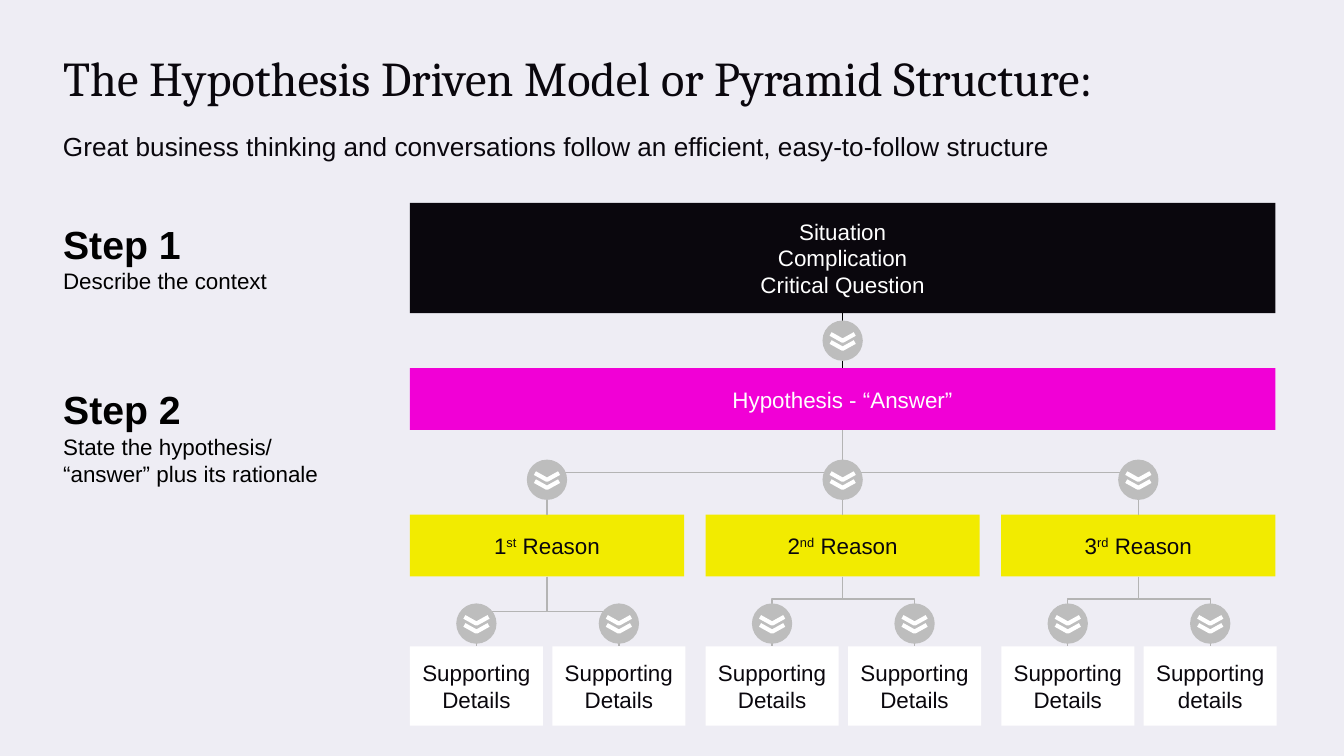
from lxml import etree
from pptx import Presentation
from pptx.dml.color import RGBColor
from pptx.enum import shapes, text
from pptx.oxml.ns import qn
from pptx.util import Inches, Pt

# Content
TITLE = "The Hypothesis Driven Model or Pyramid Structure:"
SUBTITLE = ("Great business thinking and conversations follow an efficient, "
            "easy-to-follow structure")
STEPS = [  # heading, lines, place
    ("Step 1 ", ["Describe the context"], (0.47, 1.64, 2.04, 0.78)),
    ("Step 2 ", ["State the hypothesis/", "“answer” plus its rationale"],
     (0.47, 2.87, 2.15, 0.85)),
]
CONTEXT = ["Situation", "Complication", "Critical Question"]
HYPOTHESIS = "Hypothesis - “Answer”"
REASONS = [  # number, ordinal ending, details, position of the lower bend
    ("1", "st", ["Supporting Details", "Supporting Details"], 0.5),
    ("2", "nd", ["Supporting Details", "Supporting Details"], 0.32),
    ("3", "rd", ["Supporting Details", "Supporting details"], 0.32),
]

THEME = dict(
    back="EEEDF4", ink="0A070D", black="000000", white="FFFFFF",
    answer="F100D6", reason="F2EB00", line="B4B4B4", icon="BDBDBD",
    head_font="Cambria", body_font="Arial",
    title=26, subtitle=14, step=21, body=12, thin=0.75, chevron=2.25)

# Layout: the rows of the pyramid as (top, height), and its columns
CONTEXT_ROW, ANSWER_ROW = (1.51, 0.82), (2.74, 0.46)
REASON_ROW, DETAIL_ROW = (3.83, 0.46), (4.81, 0.59)
LEFT, FULL_WIDTH = 3.05, 6.44
REASON_PITCH, REASON_WIDTH = 2.2, 2.04
DETAIL_PITCH, DETAIL_WIDTH = 1.06, 0.99
MIDDLE = LEFT + FULL_WIDTH / 2
ICON_SIZE = 0.3


def color(name):
    return RGBColor.from_string(THEME[name])


def add_span(para, words, size="body", ink="ink", face="body_font",
             bold=False, raised=False):
    span = para.add_run()
    span.text = words
    style = dict(name=THEME[face], size=Pt(THEME[size]), bold=bold)
    for key, value in style.items():
        setattr(span.font, key, value)
    span.font.color.rgb = color(ink)
    if raised:
        span.font._element.set("baseline", "30000")


def set_frame(box, margins, anchor=text.MSO_ANCHOR.MIDDLE):
    frame = box.text_frame
    sides = ("margin_left", "margin_top", "margin_right", "margin_bottom")
    style = dict(zip(sides, map(Inches, margins)), word_wrap=True,
                 auto_size=text.MSO_AUTO_SIZE.NONE, vertical_anchor=anchor)
    for key, value in style.items():
        setattr(frame, key, value)
    return frame


def add_block(page, left, width, row, fill, lines, ink="ink"):
    """Filled box; each line is a list of (words, raised) pieces."""
    top, height = row
    block = page.shapes.add_shape(shapes.MSO_SHAPE.RECTANGLE,
                                  *map(Inches, (left, top, width, height)))
    block.shadow.inherit = False
    block.fill.solid()
    block.fill.fore_color.rgb = color(fill)
    block.line.fill.background()
    frame = set_frame(block, [0.04] * 4)
    for number, line in enumerate(lines):
        para = frame.add_paragraph() if number else frame.paragraphs[0]
        para.alignment = text.PP_ALIGN.CENTER
        for words, raised in line:
            add_span(para, words, ink=ink, raised=raised)


def add_line(page, kind, ends, ink):
    line = page.shapes.add_connector(kind, *map(Inches, ends))
    line.line.color.rgb = color(ink)
    line.line.width = Pt(THEME["thin"])
    etree.SubElement(line._element.spPr, qn("a:effectLst"))
    return line


def add_branch(page, x1, y1, x2, y2, bend=0.5):
    """Elbow that leaves downwards: a sideways elbow turned a quarter."""
    center_x, center_y = (x1 + x2) / 2, (y1 + y2) / 2
    half_run, half_rise = (y2 - y1) / 2, abs(x2 - x1) / 2
    to_left = x2 < x1
    side = -half_run if to_left else half_run
    branch = add_line(page, shapes.MSO_CONNECTOR.ELBOW,
                      (center_x + side, center_y - half_rise,
                       center_x - side, center_y + half_rise), "line")
    props = branch._element.spPr
    props.find(qn("a:xfrm")).set("rot", str((90 if to_left else 270) * 60000))
    guides = props.find(qn("a:prstGeom")).get_or_add_avLst()
    etree.SubElement(guides, qn("a:gd"), name="adj1",
                     fmla=f"val {round(bend * 100000)}")


def add_icon(page, x, y):
    """Disc with two chevrons that point down."""
    group = page.shapes.add_group_shape()
    disc = group.shapes.add_shape(
        shapes.MSO_SHAPE.OVAL, Inches(x - ICON_SIZE / 2),
        Inches(y - ICON_SIZE / 2), Inches(ICON_SIZE), Inches(ICON_SIZE))
    disc.shadow.inherit = False
    disc.fill.solid()
    disc.fill.fore_color.rgb = color("icon")
    disc.line.fill.background()
    for top in (y + 0.01, y - 0.05):
        points = [(Inches(x + dx), Inches(top + dy))
                  for dx, dy in ((0.09, 0), (0, 0.05), (-0.09, 0))]
        builder = group.shapes.build_freeform(*points[0], scale=1.0)
        builder.add_line_segments(points[1:], close=False)
        chevron = builder.convert_to_shape()
        chevron.shadow.inherit = False
        chevron.fill.background()
        chevron.line.color.rgb = color("white")
        chevron.line.width = Pt(THEME["chevron"])


def main():
    deck = Presentation()
    deck.slide_width = Inches(10)
    deck.slide_height = deck.slide_width * 9 // 16
    page = deck.slides.add_slide(deck.slide_layouts[5])
    page.background.fill.solid()
    page.background.fill.fore_color.rgb = color("back")

    # Title and subtitle
    title = page.shapes.title
    title.left, title.top, title.width, title.height = map(
        Inches, (0.37, 0.25, 8.86, 0.64))
    subtitle = page.shapes.add_textbox(*map(Inches, (0.37, 0.86, 8.55, 0.45)))
    for box, words, size, face in (
            (title, TITLE, "title", "head_font"),
            (subtitle, SUBTITLE, "subtitle", "body_font")):
        para = set_frame(box, [0.1] * 4).paragraphs[0]
        para.alignment = text.PP_ALIGN.LEFT
        add_span(para, words, size, face=face)

    # Steps on the left
    for heading, lines, place in STEPS:
        box = page.shapes.add_textbox(*map(Inches, place))
        frame = set_frame(box, (0, 0, 0.15, 0.03), text.MSO_ANCHOR.TOP)
        para = frame.paragraphs[0]
        add_span(para, heading, "step", "black", bold=True)
        for line in lines:
            para.add_line_break()
            add_span(para, line, ink="black")

    # Context and hypothesis
    context_end, answer_end = sum(CONTEXT_ROW), sum(ANSWER_ROW)
    add_line(page, shapes.MSO_CONNECTOR.STRAIGHT,
             (MIDDLE, context_end, MIDDLE, ANSWER_ROW[0]), "black")
    add_block(page, LEFT, FULL_WIDTH, CONTEXT_ROW, "ink",
              [[(line, False)] for line in CONTEXT], "white")
    add_block(page, LEFT, FULL_WIDTH, ANSWER_ROW, "answer",
              [[(HYPOTHESIS, False)]], "white")
    icons = [(MIDDLE, (context_end + ANSWER_ROW[0]) / 2)]

    # Reasons, each with its details
    for column, (number, ending, details, bend) in enumerate(REASONS):
        left = LEFT + column * REASON_PITCH
        center = left + REASON_WIDTH / 2
        add_block(page, left, REASON_WIDTH, REASON_ROW, "reason",
                  [[(number, False), (ending, True), (" Reason", False)]])
        add_branch(page, MIDDLE, answer_end, center, REASON_ROW[0])
        icons.append((center, 3.57))
        for place, words in enumerate(details):
            detail_left = left + place * DETAIL_PITCH
            detail_center = detail_left + DETAIL_WIDTH / 2
            add_block(page, detail_left, DETAIL_WIDTH, DETAIL_ROW, "white",
                      [[(words, False)]])
            add_branch(page, center, sum(REASON_ROW), detail_center,
                       DETAIL_ROW[0], bend)
            icons.append((detail_center, 4.64))

    # Icons lie over the lines
    for x, y in icons:
        add_icon(page, x, y)

    deck.save("out.pptx")


if __name__ == "__main__":
    main()
